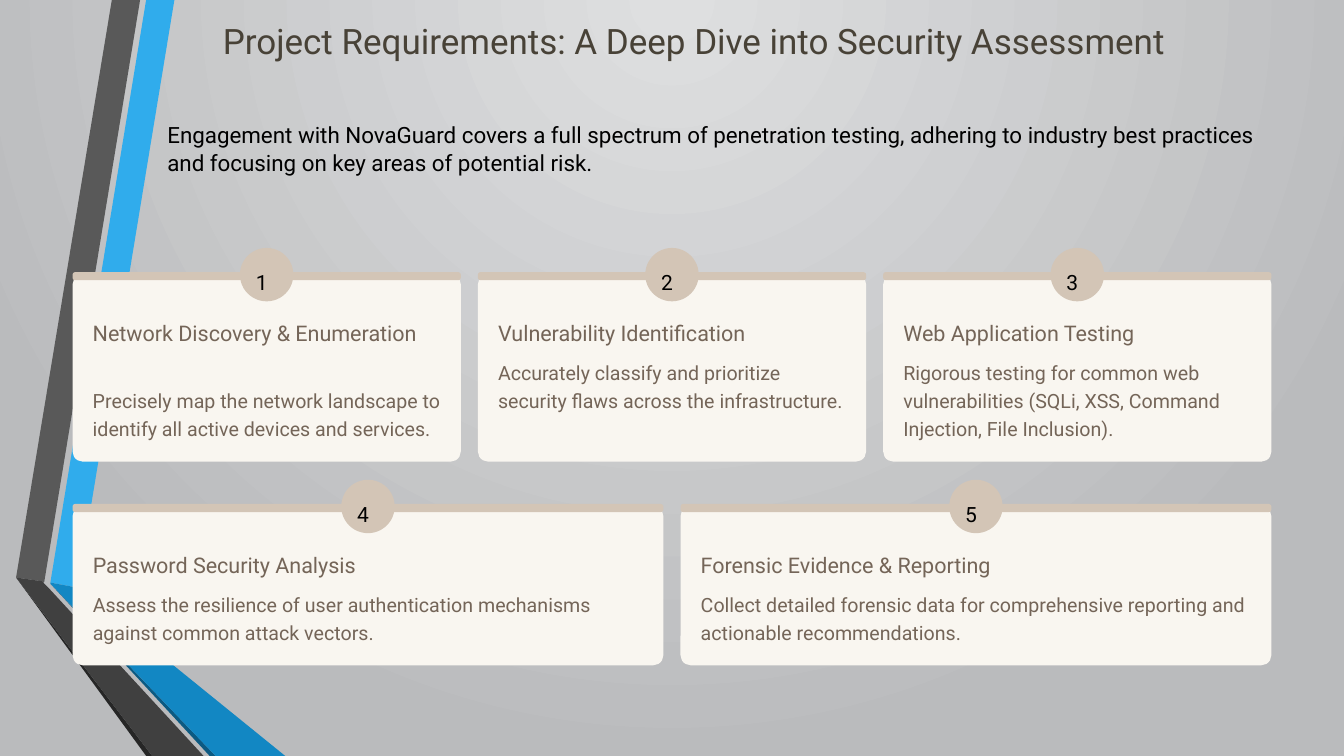
"""Build the project requirements slide with five numbered security cards."""
from lxml.etree import SubElement
from pptx import Presentation
from pptx.dml.color import RGBColor
from pptx.enum.shapes import MSO_SHAPE as Kind
from pptx.enum.text import MSO_ANCHOR as Anchor, MSO_AUTO_SIZE as Fit, PP_ALIGN as Align
from pptx.oxml.ns import qn
from pptx.util import Inches, Pt

CREAM, SAND, BROWN, BLACK = "F9F6F0", "D3C5B6", "746558", "000000"


def paint(shape, color):
    shape.shadow.inherit = False
    shape.fill.solid()
    shape.fill.fore_color.rgb = RGBColor.from_string(color)
    shape.line.fill.background()


def write(shape, text, size, color, pitch, wrap=True, inset=(0, 0)):
    frame = shape.text_frame
    frame.text = text
    frame.word_wrap = wrap
    frame.auto_size = Fit.NONE
    frame.vertical_anchor = Anchor.TOP
    frame.margin_left, frame.margin_top = [Inches(n) for n in inset]
    frame.margin_right = frame.margin_bottom = 0
    para = frame.paragraphs[0]
    para.alignment = Align.LEFT
    para.space_before = Pt(0)
    para.line_spacing = Pt(pitch)
    font = para.runs[0].font
    font.name, font.size = "Roboto", Pt(size)
    font.color.rgb = RGBColor.from_string(color)


deck = Presentation()
deck.slide_width, deck.slide_height = Inches(13.33), Inches(7.5)
slide = deck.slides.add_slide(deck.slide_layouts[1])
shapes = slide.shapes

fill = slide.background.fill
fill.gradient()
for stop, place, color in zip(fill.gradient_stops, (0, 1), ("DEDFE0", "BABBBD")):
    stop.position = place
    stop.color.rgb = RGBColor.from_string(color)
grad = slide.element.find(".//" + qn("a:gradFill"))
grad.remove(grad.find(qn("a:lin")))
ring = SubElement(grad, qn("a:path"), {"path": "circle"})
SubElement(ring, qn("a:fillToRect"), {"l": "43000", "t": "0", "r": "43000", "b": "100000"})

ribbons = [
    ("30ACEC", [(0.5, 5.78), (0.77, 5.83), (1.73, 0), (1.45, 0)]),
    ("595959", [(1.39, 0), (1.11, 0), (0.16, 5.73), (0.44, 5.77)]),
    ("262626", [(0.16, 5.73), (1.45, 7.5), (1.51, 7.5)]),
    ("0C5A82", [(0.5, 5.79), (2.08, 7.5), (2.14, 7.5)]),
    ("1287C3", [(0.5, 5.79), (2.14, 7.5), (2.83, 7.5), (0.77, 5.83), (0.5, 5.78)]),
    ("404040", [(2.02, 7.5), (0.48, 5.83), (0.43, 5.78), (0.44, 5.77), (0.16, 5.73), (1.51, 7.5)]),
]
for color, spots in ribbons:
    spots = [(Inches(x), Inches(y)) for x, y in spots]
    pen = shapes.build_freeform(*spots[0])
    pen.add_line_segments(spots[1:], close=True)
    paint(pen.convert_to_shape(), color)

title = shapes.title
title.left, title.top, title.width, title.height = [Inches(n) for n in (2.21, 0.18, 9.6, 1)]
write(title, "Project Requirements: A Deep Dive into Security Assessment", 25, "484237", 31.2)

intro = slide.placeholders[1]
intro.left, intro.top, intro.width, intro.height = [Inches(n) for n in (1.66, 1.19, 10.95, 0.56)]
write(intro, "Engagement with NovaGuard covers a full spectrum of penetration testing, "
      "adhering to industry best practices and focusing on key areas of potential risk.", 16, BLACK, 20)
props = intro.text_frame.paragraphs[0]._p.get_or_add_pPr()
props.set("marL", "0")
props.set("indent", "0")
SubElement(props, qn("a:buNone"))

rows = [
    (2.7, 1.86, [
        ("Network Discovery & Enumeration", 0.54, 0.56,
         "Precisely map the network landscape to identify all active devices and services."),
        ("Vulnerability Identification", 0.27, 0.56,
         "Accurately classify and prioritize security flaws across the infrastructure."),
        ("Web Application Testing", 0.27, 0.84,
         "Rigorous testing for common web vulnerabilities (SQLi, XSS, Command Injection, File Inclusion)."),
    ]),
    (5, 1.58, [
        ("Password Security Analysis", 0.27, 0.56,
         "Assess the resilience of user authentication mechanisms against common attack vectors."),
        ("Forensic Evidence & Reporting", 0.27, 0.56,
         "Collect detailed forensic data for comprehensive reporting and actionable recommendations."),
    ]),
]
left, span, gap, pad, edge, disc = 0.72, 11.89, 0.17, 0.2, 0.15, 0.53
count = 0
for top, tall, cards in rows:
    wide = (span - gap * (len(cards) - 1)) / len(cards)
    for col, (head, rise, deep, body) in enumerate(cards):
        count += 1
        x = left + col * (wide + gap)
        parts = [
            (x, top + 0.02, wide, tall, 0.1 / tall, CREAM),
            (x, top, wide, 0.08, 0.32, SAND),
            (x + (wide - disc) / 2, top - 0.24, disc, disc, 0.5, SAND),
        ]
        for *box, bend, color in parts:
            badge = shapes.add_shape(Kind.ROUNDED_RECTANGLE, *[Inches(n) for n in box])
            badge.adjustments[0] = bend
            paint(badge, color)
        write(badge, str(count), 15, BLACK, 24.2, wrap=False, inset=(0.08, 0.05))
        y = top + 0.46
        for text, high, size, pitch in ((head, rise, 15.4, 19.6), (body, deep, 14, 20)):
            box = shapes.add_textbox(*[Inches(n) for n in (x + pad, y, wide - pad - edge, high)])
            write(box, text, size, BROWN, pitch)
            y += high + 0.11

deck.save("out.pptx")
